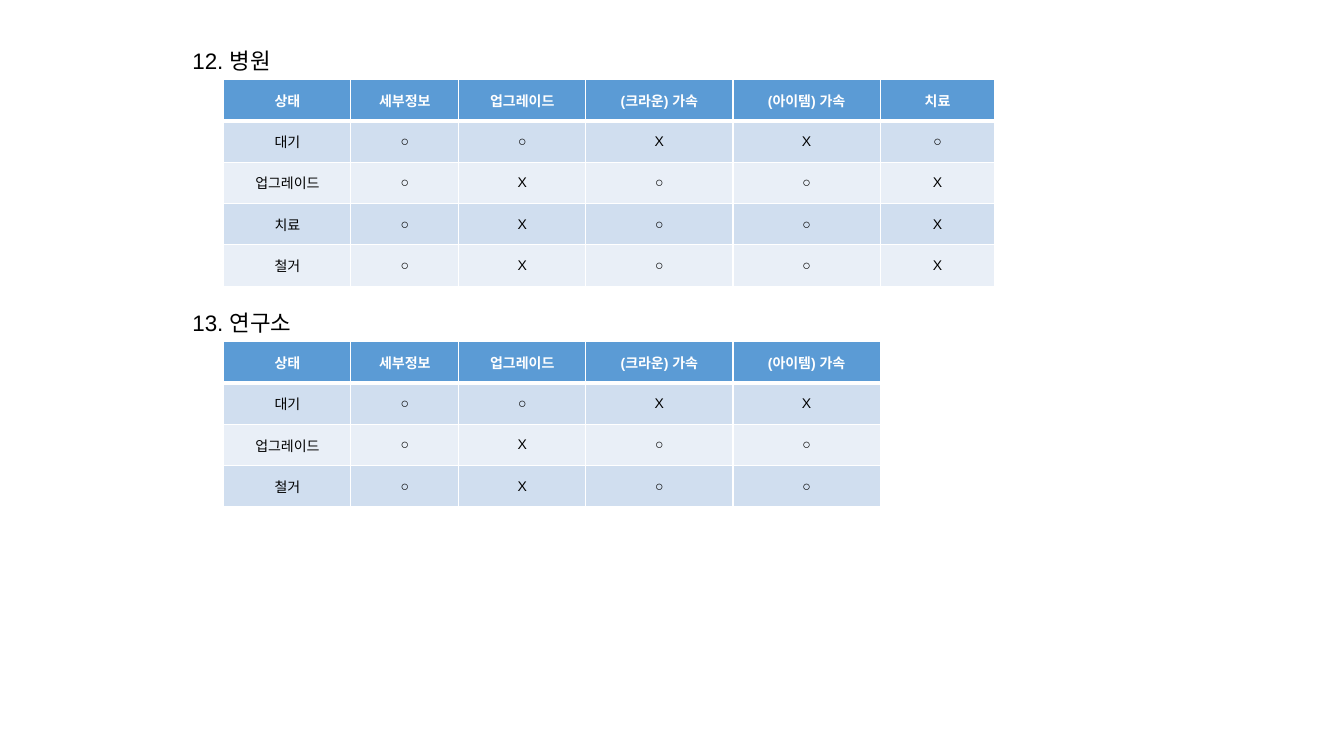
from lxml.etree import SubElement as add_sub
from pptx import Presentation
from pptx.dml.color import RGBColor
from pptx.enum.text import MSO_ANCHOR as ANCHOR, PP_ALIGN as ALIGN
from pptx.oxml.ns import qn
from pptx.util import Inches, Pt

WHITE = RGBColor(0xFF, 0xFF, 0xFF)
BLACK = RGBColor(0x00, 0x00, 0x00)
BLUE = RGBColor(0x5B, 0x9B, 0xD5)
BANDS = (RGBColor(0xE9, 0xEF, 0xF7), RGBColor(0xD0, 0xDE, 0xEF))
FONT = "Arial"

HEADS = ["상태", "세부정보", "업그레이드", "(크라운) 가속", "(아이템) 가속", "치료"]
WIDTHS = [1.26, 1.07, 1.26, 1.46, 1.46, 1.14]
ROW_H = 0.41

# State of the building, then one mark for each action
HOSPITAL = [("대기", "○○XX○"), ("업그레이드", "○X○○X"),
            ("치료", "○X○○X"), ("철거", "○X○○X")]
LAB = [("대기", "○○XX"), ("업그레이드", "○X○○"), ("철거", "○X○○")]


def set_font(font, size, color, bold=False):
    font.name = FONT
    font.size = Pt(size)
    font.bold = bold
    font.color.rgb = color


def add_head(slide, text, top, width):
    box = slide.shapes.add_textbox(
        Inches(1.31), Inches(top), Inches(width), Inches(0.5))
    frame = box.text_frame
    frame.word_wrap = False
    frame.text = text
    para = frame.paragraphs[0]
    para.level = 1
    para.line_spacing = 1.5
    props = para._p.get_or_add_pPr()
    props.set("marL", str(Inches(0.5)))
    props.set("indent", "0")
    set_font(para.runs[0].font, 16, BLACK)


def add_edges(cell, row):
    """Draw white cell borders, with a thick rule under the header row."""
    props = cell._tc.get_or_add_tcPr()
    thick = {"lnB": 0, "lnT": 1}
    for side in ("lnL", "lnR", "lnT", "lnB"):
        width = Pt(3 if thick.get(side) == row else 1)
        line = add_sub(props, qn("a:" + side), w=str(width))
        fill = add_sub(line, qn("a:solidFill"))
        add_sub(fill, qn("a:srgbClr"), val=str(WHITE))


def fill_cell(cell, text, row):
    is_head = row == 0
    add_edges(cell, row)
    cell.fill.solid()
    cell.fill.fore_color.rgb = BLUE if is_head else BANDS[row % 2]
    cell.margin_left = cell.margin_right = Inches(0.13)
    cell.margin_top = cell.margin_bottom = Inches(0.05)
    cell.vertical_anchor = ANCHOR.MIDDLE
    cell.text_frame.text = text
    para = cell.text_frame.paragraphs[0]
    para.alignment = ALIGN.CENTER
    set_font(para.runs[0].font, 10, WHITE if is_head else BLACK, is_head)


def add_grid(slide, states, top):
    count = 1 + len(states[0][1])
    rows = [HEADS[:count]] + [[name, *marks] for name, marks in states]
    widths = WIDTHS[:count]
    table = slide.shapes.add_table(
        len(rows), count, Inches(2.22), Inches(top),
        Inches(sum(widths)), Inches(ROW_H * len(rows))).table
    for col, width in zip(table.columns, widths):
        col.width = Inches(width)
    for r, texts in enumerate(rows):
        table.rows[r].height = Inches(ROW_H)
        for c, text in enumerate(texts):
            fill_cell(table.cell(r, c), text, r)


def main():
    deck = Presentation()
    deck.slide_width = Inches(13.33)
    deck.slide_height = Inches(7.5)
    slide = deck.slides.add_slide(deck.slide_layouts[6])
    add_head(slide, "12. 병원", 0.29, 1.53)
    add_grid(slide, HOSPITAL, 0.79)
    add_head(slide, "13. 연구소", 2.88, 1.76)
    add_grid(slide, LAB, 3.39)
    deck.save("out.pptx")


if __name__ == "__main__":
    main()
